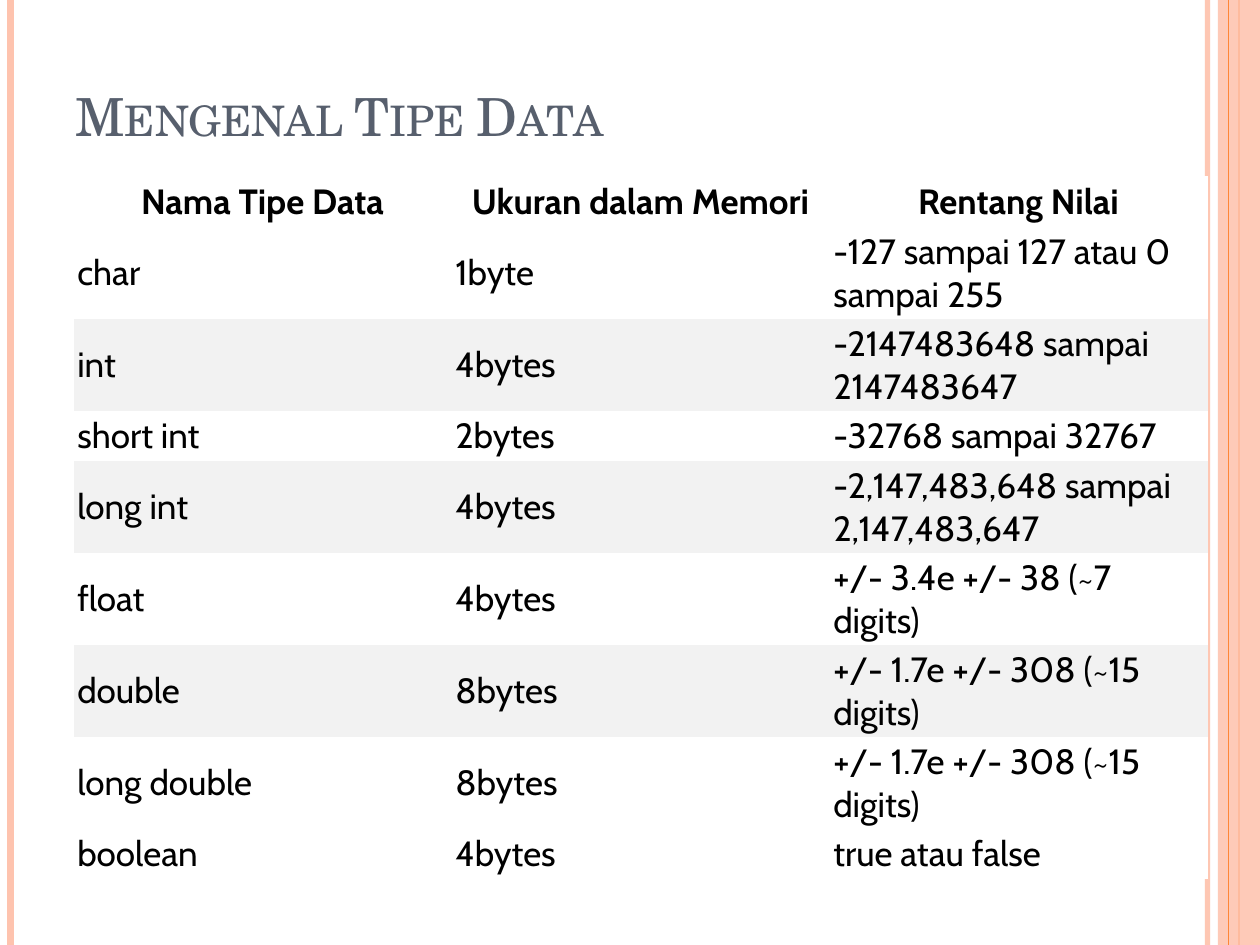
"""Build the slide that lists data types with their memory size and value range."""
from lxml.etree import SubElement
from pptx import Presentation
from pptx.dml.color import RGBColor
from pptx.enum.shapes import MSO_CONNECTOR, MSO_SHAPE
from pptx.enum.text import MSO_ANCHOR, PP_ALIGN
from pptx.oxml.ns import qn
from pptx.util import Inches, Pt

PEACH = RGBColor(0xFE, 0xC3, 0xAE)
ORANGE = RGBColor(0xFE, 0x86, 0x37)
SLATE = RGBColor(0x57, 0x5F, 0x6D)
BLACK = RGBColor(0x00, 0x00, 0x00)
WHITE = RGBColor(0xFF, 0xFF, 0xFF)
GREY = RGBColor(0xF2, 0xF2, 0xF2)
PLAIN_TABLE = "{2D5ABB26-0587-4C30-8999-92F81FD0307C}"

HEADINGS = ("Nama Tipe Data", "Ukuran dalam Memori", "Rentang Nilai")
DATA_TYPES = [
    ("char", "1byte", "-127 sampai 127 atau 0 sampai 255"),
    ("int", "4bytes", "-2147483648 sampai 2147483647"),
    ("short int", "2bytes", "-32768 sampai 32767"),
    ("long int", "4bytes", "-2,147,483,648 sampai 2,147,483,647"),
    ("float", "4bytes", "+/- 3.4e +/- 38 (~7 digits)"),
    ("double", "8bytes", "+/- 1.7e +/- 308 (~15 digits)"),
    ("long double", "8bytes", "+/- 1.7e +/- 308 (~15 digits)"),
    ("boolean", "4bytes", "true atau false"),
]
ONE_LINE, TWO_LINES = Inches(0.4), Inches(0.73)
LONGEST_LINE = 22


def apply(target, values):
    for name, value in values.items():
        setattr(target, name, value)


def set_opacity(shape, percent):
    for color in shape._element.iter(qn("a:srgbClr")):
        SubElement(color, qn("a:alpha")).set("val", str(percent * 1000))


deck = Presentation()
apply(deck, {"slide_width": Inches(10), "slide_height": Inches(7.5)})
slide = deck.slides.add_slide(deck.slide_layouts[6])
shapes = slide.shapes
unit = deck.slide_width // 120
height = deck.slide_height

band = shapes.add_shape(MSO_SHAPE.RECTANGLE, 116 * unit, 0, 4 * unit, height)
band.shadow.inherit = False
band.fill.solid()
band.fill.fore_color.rgb = PEACH
band.line.fill.background()
set_opacity(band, 87)

for column, color, width, opacity in [
    (115, PEACH, 3, 93),
    (1, PEACH, 4.5, 100),
    (118, ORANGE, 1.5, 100),
    (117, ORANGE, 0.75, 100),
]:
    stripe = shapes.add_connector(
        MSO_CONNECTOR.STRAIGHT, column * unit, 0, column * unit, height)
    stripe.line.color.rgb = color
    stripe.line.width = Pt(width)
    SubElement(stripe._element.spPr, qn("a:effectLst"))
    if opacity < 100:
        set_opacity(stripe, opacity)
    if column == 118:
        shapes._spTree.remove(band._element)
        shapes._spTree.append(band._element)

title = shapes.add_textbox(6 * unit, 5 * unit, 98 * unit, Inches(0.8)).text_frame
apply(title, {"word_wrap": True, "vertical_anchor": MSO_ANCHOR.BOTTOM})
heading = title.paragraphs[0].add_run()
heading.text = "Mengenal Tipe Data"
apply(heading.font, {"name": "TeX Gyre Schola", "size": Pt(30)})
heading.font.color.rgb = SLATE
heading._r.get_or_add_rPr().set("cap", "small")

rows = [HEADINGS, *DATA_TYPES]
heights = [TWO_LINES if len(row[2]) > LONGEST_LINE else ONE_LINE for row in rows]
table = shapes.add_table(
    len(rows), len(HEADINGS), 7 * unit, Inches(1.4), 108 * unit, sum(heights)).table
apply(table, {"first_row": True, "horz_banding": False})
table._tbl.tblPr.find(qn("a:tableStyleId")).text = PLAIN_TABLE
cell_format = {"vertical_anchor": MSO_ANCHOR.MIDDLE}
cell_format.update(
    {f"margin_{side}": Inches(0.03) for side in ("left", "top", "right", "bottom")})

for r, row in enumerate(rows):
    table.rows[r].height = heights[r]
    for c, wording in enumerate(row):
        cell = table.cell(r, c)
        apply(cell, cell_format)
        cell.fill.solid()
        cell.fill.fore_color.rgb = GREY if r and r % 2 == 0 and r < len(DATA_TYPES) else WHITE
        paragraph = cell.text_frame.paragraphs[0]
        paragraph.alignment = PP_ALIGN.LEFT if r else PP_ALIGN.CENTER
        run = paragraph.add_run()
        run.text = wording
        apply(run.font, {"name": "Cabin", "size": Pt(20), "bold": r == 0})
        run.font.color.rgb = BLACK

deck.save("out.pptx")
